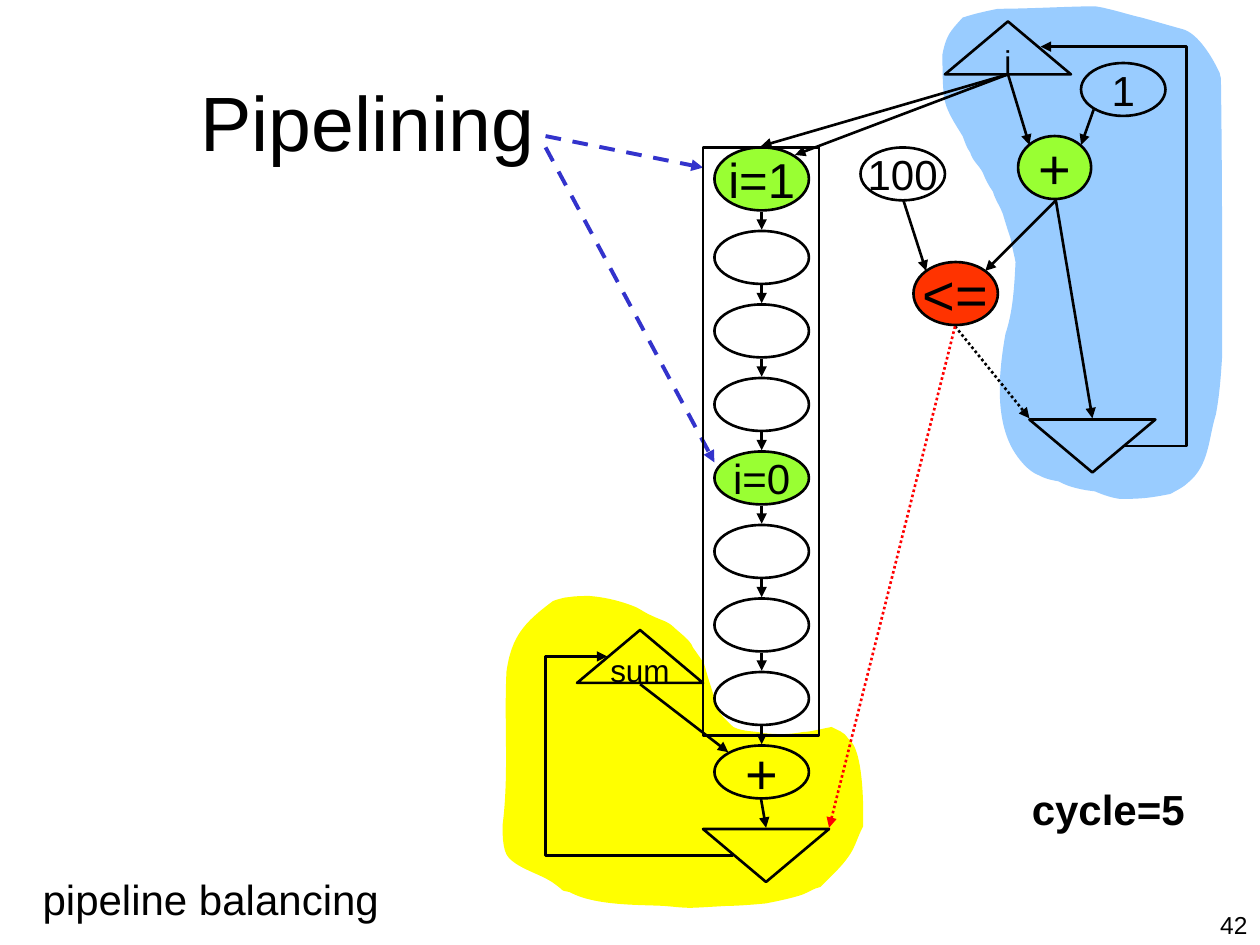
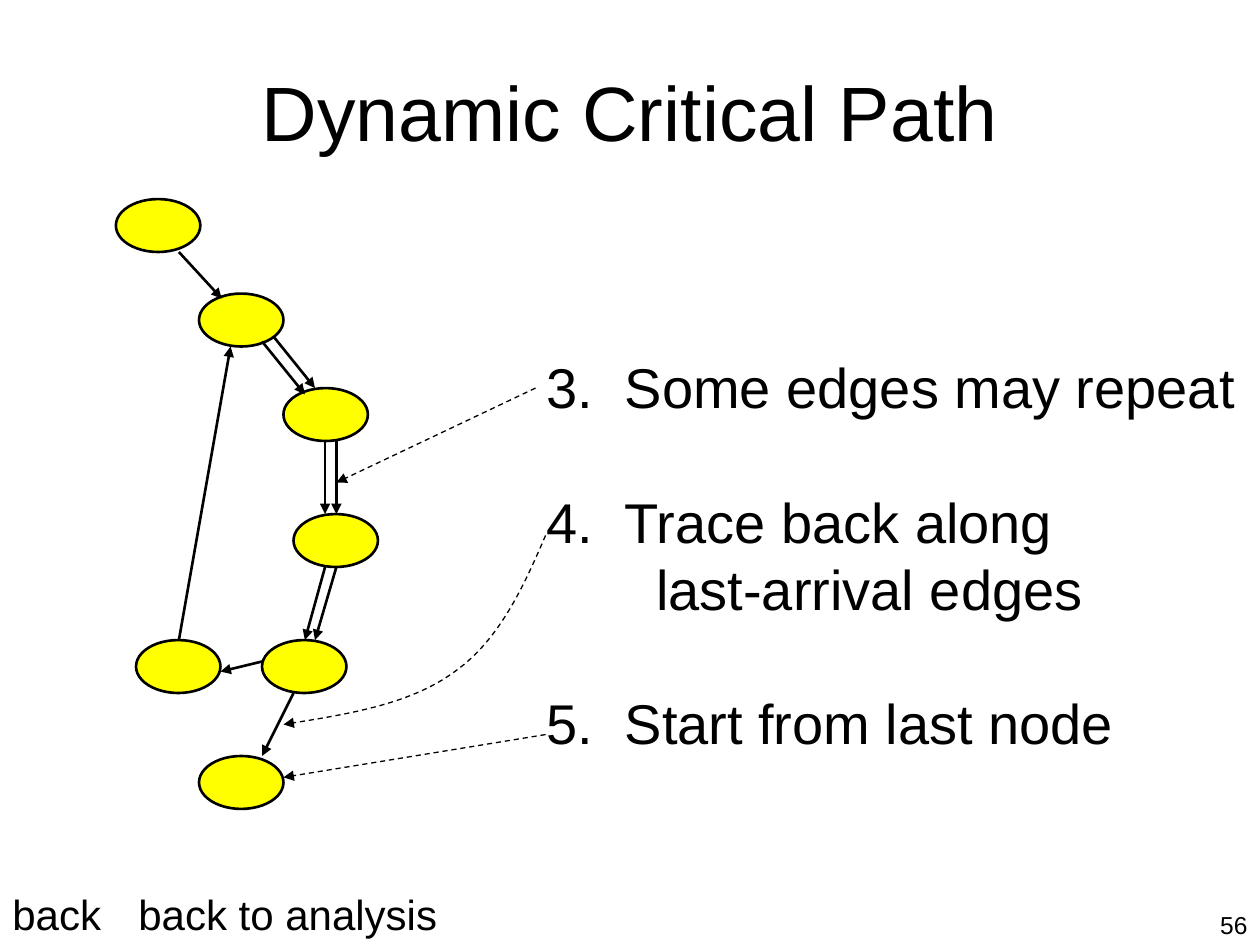
from lxml import etree
from pptx import Presentation
from pptx.dml.color import RGBColor
from pptx.enum.dml import MSO_LINE
from pptx.enum.shapes import MSO_CONNECTOR, MSO_SHAPE
from pptx.enum.text import MSO_ANCHOR, MSO_AUTO_SIZE, PP_ALIGN
from pptx.oxml.ns import qn
from pptx.util import Inches, Pt

FONT = "Arial"
COLORS = {
    "black": "000000", "red": "FF0000", "indigo": "3333CC", "sky": "99CCFF",
    "yellow": "FFFF00", "green": "99FF33", "orange": "FF3300",
}

# ---- Content: pipelining slide ----
# Bezier outlines: a start point, then two control points and an end point per curve
LOOP_REGION = [
    (7.92, 0.07),
    (7.82, 0.09), (7.73, 0.11), (7.64, 0.14), (7.54, 0.25), (7.51, 0.28), (7.48, 0.43),
    (7.48, 0.54), (7.48, 0.64), (7.49, 0.75), (7.5, 0.87), (7.58, 0.98), (7.64, 1.08),
    (7.66, 1.13), (7.67, 1.17), (7.7, 1.21), (7.72, 1.28), (7.77, 1.31), (7.8, 1.37),
    (7.82, 1.42), (7.85, 1.48), (7.88, 1.52), (7.9, 1.59), (7.94, 1.64), (7.96, 1.7),
    (7.98, 1.77), (8, 1.83), (8.02, 1.89), (8.05, 2.04), (8.04, 1.98), (8.06, 2.08),
    (8.05, 2.28), (8.04, 2.47), (7.98, 2.65), (7.93, 2.93), (7.89, 3.31), (8.04, 3.57),
    (8.08, 3.64), (8.16, 3.74), (8.24, 3.77), (8.26, 3.78), (8.28, 3.79), (8.31, 3.8),
    (8.34, 3.81), (8.4, 3.82), (8.4, 3.82), (8.49, 3.87), (8.6, 3.89), (8.69, 3.9),
    (8.76, 3.93), (8.82, 3.95), (8.89, 3.96), (9.07, 3.96), (9.14, 3.95), (9.29, 3.92),
    (9.34, 3.89), (9.39, 3.87), (9.43, 3.83), (9.6, 3.69), (9.59, 3.48), (9.65, 3.29),
    (9.68, 3.13), (9.69, 2.98), (9.7, 2.82), (9.7, 2.09), (9.7, 1.35), (9.69, 0.62),
    (9.69, 0.61), (9.68, 0.6), (9.68, 0.58), (9.63, 0.47), (9.51, 0.26), (9.38, 0.23),
    (9.27, 0.2), (9.17, 0.17), (9.06, 0.14), (8.97, 0.12), (8.88, 0.09), (8.79, 0.07),
    (8.76, 0.06), (8.69, 0.05), (8.69, 0.05), (8.5, 0.05), (8.16, 0.07), (7.92, 0.07),
]
SUM_REGION = [
    (6.37, 5.81),
    (6.26, 5.83), (6.19, 5.83), (6.07, 5.82), (5.99, 5.8), (5.9, 5.81), (5.82, 5.77),
    (5.78, 5.73), (5.74, 5.7), (5.7, 5.64), (5.67, 5.53), (5.63, 5.42), (5.6, 5.31),
    (5.59, 5.28), (5.59, 5.26), (5.57, 5.24), (5.55, 5.21), (5.5, 5.14), (5.5, 5.14),
    (5.48, 5.08), (5.39, 5.02), (5.35, 4.98), (5.3, 4.93), (5.24, 4.92), (5.18, 4.89),
    (5.13, 4.87), (5.09, 4.84), (5.05, 4.82), (4.93, 4.77), (4.8, 4.74), (4.68, 4.73),
    (4.62, 4.73), (4.57, 4.73), (4.51, 4.74), (4.47, 4.74), (4.39, 4.77), (4.39, 4.77),
    (4.16, 4.94), (4.06, 5.05), (4.02, 5.33), (4, 5.73), (4.04, 6.14), (3.99, 6.54),
    (3.99, 6.58), (3.98, 6.75), (4.04, 6.81), (4.13, 6.9), (4.27, 6.93), (4.38, 7),
    (4.51, 7.09), (4.43, 7.06), (4.52, 7.08), (4.72, 7.19), (5.07, 7.18), (5.27, 7.19),
    (5.5, 7.21), (5.41, 7.21), (5.77, 7.19), (5.88, 7.19), (6.08, 7.17), (6.08, 7.17),
    (6.18, 7.15), (6.28, 7.13), (6.37, 7.1), (6.42, 7.08), (6.46, 7.05), (6.51, 7.04),
    (6.59, 6.96), (6.68, 6.88), (6.74, 6.79), (6.79, 6.72), (6.81, 6.63), (6.85, 6.56),
    (6.85, 6.53), (6.87, 5.95), (6.73, 5.86), (6.69, 5.8), (6.65, 5.8), (6.6, 5.77),
    (6.54, 5.78), (6.43, 5.81), (6.37, 5.81),
]
# left, top, width, height, fill, text, size
OPERATORS = [
    (8.08, 1.08, 0.58, 0.5, "green", "+", 32),
    (7.25, 2.08, 0.67, 0.5, "orange", "<=", 32),
    (6.83, 1.17, 0.67, 0.42, None, "100", 24),
    (8.58, 0.5, 0.67, 0.42, None, "1", 24),
]
# left, top, points down, text
TRIANGLES = [
    (7.5, 0.17, False, "i"), (8.17, 3.33, True, ""),
    (4.58, 5, False, "sum"), (5.58, 6.58, True, ""),
]
# stage number: fill, text, size
STAGE_LABELS = {0: ("green", "i=1", 28), 4: ("green", "i=0", 24), 8: (None, "+", 32)}
STAGE_COUNT, STAGE_LEFT, STAGE_WIDTH, STAGE_HEIGHT = 9, 5.67, 0.75, 0.42
STAGE_BOTTOM, STAGE_PITCH = 1.67, 7 / 12
DATA_EDGES = [
    ((8, 0.59), (8.17, 1.15)), ((8.38, 1.59), (8.67, 3.32)),
    ((8.38, 1.59), (7.82, 2.15)), ((7.17, 1.59), (7.35, 2.15)),
    ((8.68, 0.87), (8.58, 1.15)), ((8, 0.59), (6.31, 1.23)),
    ((8, 0.59), (6.04, 1.16)), ((5.08, 5.43), (5.78, 5.97)),
    ((6.04, 6.34), (6.08, 6.57)),
]
CONTROL_EDGES = [("black", (7.58, 2.59), (8.17, 3.32)), ("red", (7.58, 2.59), (6.58, 6.57))]
# start, end, x of the vertical run
FEEDBACK_EDGES = [((8.93, 3.54), (8.26, 0.37), 9.42), ((5.82, 6.79), (4.82, 5.21), 4.33)]
TITLE_POINTERS = [((4.33, 1.08), (5.58, 1.33)), ((4.33, 1.17), (5.67, 3.67))]

# ---- Content: critical path slide ----
PATH_NODES = [
    (1.58, 6), (2.08, 5.08), (2.33, 4.08), (2.25, 3.08), (1.58, 2.33), (0.92, 1.58), (1.08, 5.08),
]
PATH_EDGES = [
    ((2.33, 5.5), (2.08, 6)), ((2.67, 4.5), (2.5, 5.08)), ((2.67, 3.5), (2.67, 4.08)),
    ((2.17, 2.67), (2.5, 3.08)), ((1.42, 5.08), (1.83, 2.75)), ((2.08, 5.25), (1.75, 5.33)),
    ((1.42, 2), (1.76, 2.37)), ((2.58, 4.5), (2.42, 5.08)), ((2.58, 3.5), (2.58, 4.08)),
    ((2.08, 2.71), (2.42, 3.13)),
]
# number (None continues the step above), text
STEPS = [
    (3, "Some edges may repeat"), (4, "Trace back along"),
    (None, "last-arrival edges"), (5, "Start from last node"),
]
STEP_POINTERS = [((4.33, 5.83), (2.25, 6.17)), ((4.25, 3.08), (2.67, 3.83))]
TRACE_CURVE = [
    (4.33, 4.25),
    (4.15, 4.67), (3.96, 5.08), (3.61, 5.33), (3.27, 5.58), (2.76, 5.67), (2.25, 5.75),
]


def rgb(name):
    return RGBColor.from_string(COLORS[name])


def write(paragraph, text, size=24, bold=False, align=PP_ALIGN.LEFT):
    paragraph.alignment = align
    run = paragraph.add_run()
    run.text = text
    run.font.name, run.font.size, run.font.bold = FONT, Pt(size), bold
    run.font.color.rgb = rgb("black")


def start_slide(presentation, title, box, number):
    slide = presentation.slides.add_slide(presentation.slide_layouts[5])
    shape = slide.shapes.title
    shape.left, shape.top, shape.width, shape.height = map(Inches, box)
    frame = shape.text_frame
    frame.auto_size, frame.vertical_anchor = MSO_AUTO_SIZE.NONE, MSO_ANCHOR.MIDDLE
    write(frame.paragraphs[0], title, size=44, align=PP_ALIGN.CENTER)
    frame = add_box(slide, (9.5, 7.17, 0.5, 0.33), wrap=True)
    write(frame.paragraphs[0], number, size=14, align=PP_ALIGN.RIGHT)
    return slide


def add_box(slide, box, wrap=False):
    frame = slide.shapes.add_textbox(*map(Inches, box)).text_frame
    frame.word_wrap = wrap
    frame.auto_size = MSO_AUTO_SIZE.NONE if wrap else MSO_AUTO_SIZE.SHAPE_TO_FIT_TEXT
    return frame


def paint(shape, fill=None, line="black", width=1.5):
    shape.shadow.inherit = False
    if fill:
        shape.fill.solid()
        shape.fill.fore_color.rgb = rgb(fill)
    else:
        shape.fill.background()
    if line:
        shape.line.color.rgb, shape.line.width = rgb(line), Pt(width)
    else:
        shape.line.fill.background()


def add_node(slide, kind, box, fill=None, text="", size=24):
    shape = slide.shapes.add_shape(kind, *map(Inches, box))
    paint(shape, fill)
    if text:
        frame = shape.text_frame
        frame.word_wrap, frame.vertical_anchor = False, MSO_ANCHOR.MIDDLE
        write(frame.paragraphs[0], text, size=size, align=PP_ALIGN.CENTER)
    return shape


def add_arrowhead(shape):
    line = shape._element.spPr.find(qn("a:ln"))
    etree.SubElement(line, qn("a:tailEnd"), type="triangle")


def add_arrow(slide, start, end, color="black", width=1.5, dash=None, via=None):
    kind = MSO_CONNECTOR.STRAIGHT if via is None else MSO_CONNECTOR.ELBOW
    connector = slide.shapes.add_connector(kind, *map(Inches, start + end))
    connector.line.color.rgb, connector.line.width = rgb(color), Pt(width)
    if dash:
        connector.line.dash_style = dash
    add_arrowhead(connector)
    properties = connector._element.spPr
    etree.SubElement(properties, qn("a:effectLst"))
    if via is not None:
        bend = round((via - start[0]) / (end[0] - start[0]) * 100000)
        guides = properties.find(qn("a:prstGeom")).get_or_add_avLst()
        etree.SubElement(guides, qn("a:gd"), name="adj1", fmla=f"val {bend}")


def add_curve(slide, points, closed):
    """Freeform whose line segments are merged, three at a time, into Bezier curves."""
    corners = [(Inches(x), Inches(y)) for x, y in points]
    builder = slide.shapes.build_freeform(*corners[0])
    builder.add_line_segments(corners[1:], close=closed)
    shape = builder.convert_to_shape()
    segments = list(shape._element.iter(qn("a:lnTo")))
    for first, second, last in zip(segments[::3], segments[1::3], segments[2::3]):
        first.tag = qn("a:cubicBezTo")
        for segment in (second, last):
            first.append(segment[0])
            segment.getparent().remove(segment)
    return shape


def build_pipelining(presentation):
    slide = start_slide(presentation, "Pipelining", (0.75, 0.67, 4.33, 0.58), "42")

    # Coloured regions behind the two loops
    for region, color in ((LOOP_REGION, "sky"), (SUM_REGION, "yellow")):
        paint(add_curve(slide, region, closed=True), color, line=None)

    # Operators, and triangles for loop entry and exit
    for *box, fill, text, size in OPERATORS:
        add_node(slide, MSO_SHAPE.OVAL, box, fill, text, size)
    for left, top, down, text in TRIANGLES:
        box = (left, top, 1, 0.42)
        shape = add_node(slide, MSO_SHAPE.ISOSCELES_TRIANGLE, box, text=text, size=18)
        if down:
            shape._element.spPr.xfrm.set("flipV", "1")

    # Pipeline stages, the first one a little taller
    center = STAGE_LEFT + STAGE_WIDTH / 2
    for stage in range(STAGE_COUNT):
        height = STAGE_HEIGHT if stage else 0.5
        bottom = STAGE_BOTTOM + stage * STAGE_PITCH
        box = (STAGE_LEFT, bottom - height, STAGE_WIDTH, height)
        add_node(slide, MSO_SHAPE.OVAL, box, *STAGE_LABELS.get(stage, ()))
        if stage:
            previous = bottom - STAGE_PITCH
            add_arrow(slide, (center, previous + 0.01), (center, box[1] - 0.01))

    # Edges
    for start, end in DATA_EDGES:
        add_arrow(slide, start, end)
    for color, start, end in CONTROL_EDGES:
        add_arrow(slide, start, end, color, dash=MSO_LINE.ROUND_DOT)
    for start, end, via in FEEDBACK_EDGES:
        add_arrow(slide, start, end, via=via)
    for start, end in TITLE_POINTERS:
        add_arrow(slide, start, end, "indigo", 2.25, MSO_LINE.DASH)

    # Frame of the pipeline and captions
    add_node(slide, MSO_SHAPE.RECTANGLE, (5.58, 1.17, 0.92, 4.67))
    write(add_box(slide, (8.09, 6.17, 1.45, 0.5)).paragraphs[0], "cycle=5", bold=True)
    write(add_box(slide, (0.24, 6.88, 2.9, 0.5)).paragraphs[0], "pipeline balancing")


def build_critical_path(presentation):
    slide = start_slide(presentation, "Dynamic Critical Path", (0.75, 0.42, 8.5, 0.92), "56")

    # Graph
    for left, top in PATH_NODES:
        add_node(slide, MSO_SHAPE.OVAL, (left, top, 0.67, 0.42), "yellow")
    for start, end in PATH_EDGES:
        add_arrow(slide, start, end)

    # Numbered steps
    frame = add_box(slide, (4.24, 2.75, 5.7, 3.3))
    for index, (number, text) in enumerate(STEPS):
        paragraph = frame.add_paragraph() if index else frame.paragraphs[0]
        properties = paragraph._p.get_or_add_pPr()
        margin, indent = (0.62, -0.62) if number else (0.87, 0)
        properties.set("marL", str(Inches(margin)))
        properties.set("indent", str(Inches(indent)))
        if number:
            etree.SubElement(properties, qn("a:buFont"), typeface=FONT)
            etree.SubElement(properties, qn("a:buAutoNum"), type="arabicPeriod",
                             startAt=str(number))
        paragraph.line_spacing = Pt(38.4)
        if number and index:
            paragraph.space_before = Pt(38.4)
        write(paragraph, text, size=32)

    # Pointers from the steps to the graph
    for start, end in STEP_POINTERS:
        add_arrow(slide, start, end, width=0.75, dash=MSO_LINE.DASH)
    trace = add_curve(slide, TRACE_CURVE, closed=False)
    paint(trace, width=0.75)
    trace.line.dash_style = MSO_LINE.DASH
    add_arrowhead(trace)

    # Captions
    write(add_box(slide, (0, 7, 0.95, 0.5)).paragraphs[0], "back")
    write(add_box(slide, (1, 7, 2.6, 0.5)).paragraphs[0], "back to analysis")


def main():
    presentation = Presentation()
    presentation.slide_width, presentation.slide_height = Inches(10), Inches(7.5)
    build_pipelining(presentation)
    build_critical_path(presentation)
    presentation.save("out.pptx")


if __name__ == "__main__":
    main()
